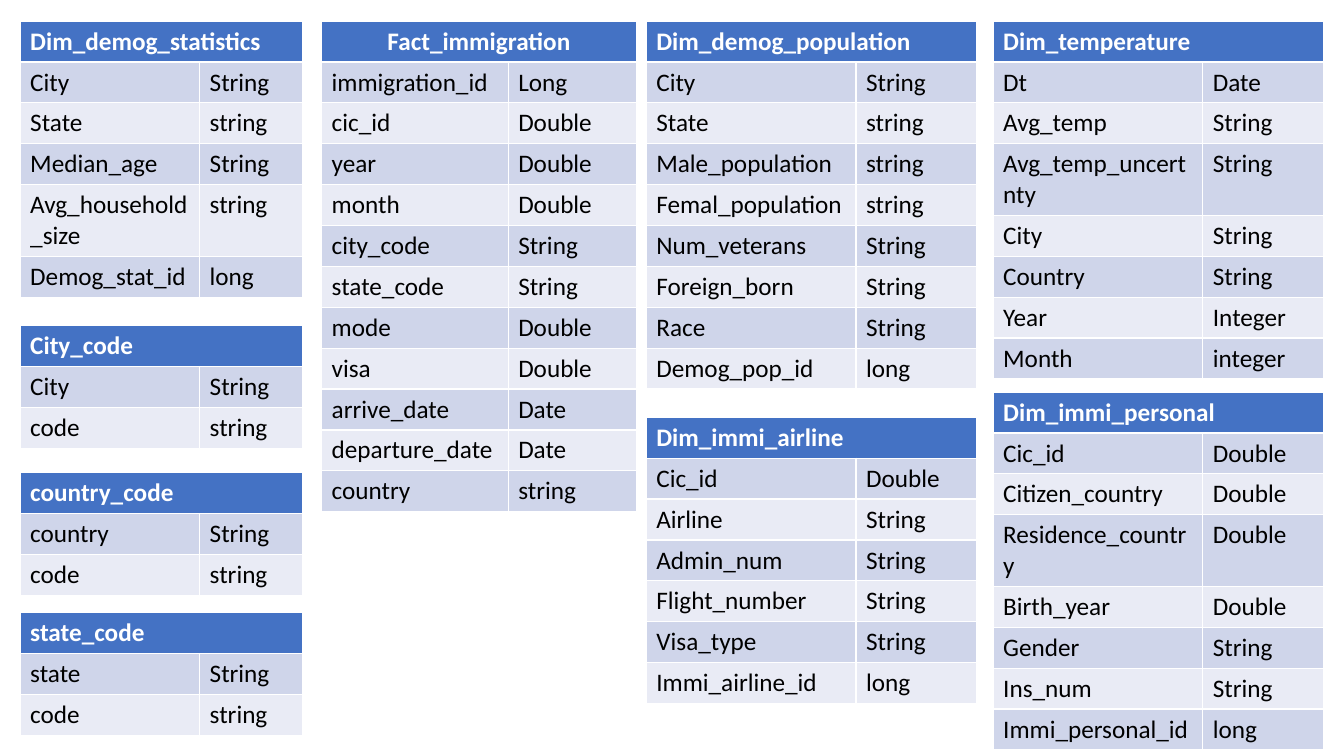
from pptx import Presentation
from pptx.dml import color
from pptx.enum import text
from pptx.util import Inches, Pt

HEADER_FILL, BAND_FILLS = "4472C4", ("CFD5EA", "E9EBF5")
HEADER_FORMAT = {"name": "Calibri", "size": Pt(18), "bold": True}
FIELD_FORMAT = {**HEADER_FORMAT, "bold": False}
ROW_HEIGHT = 4.87 / 12
LEFT, CENTER = text.PP_ALIGN.LEFT, text.PP_ALIGN.CENTER

# Each column of the schema: left edge, widths of name and type, header alignment,
# and its entities as (top, entity name, {field: type}).
SCHEMA = [
    (0.2, (1.78, 1.02), LEFT, [
        (0.21, "Dim_demog_statistics", {
            "City": "String", "State": "string", "Median_age": "String",
            "Avg_household_size": "string", "Demog_stat_id": "long"}),
        (3.23, "City_code", {"City": "String", "code": "string"}),
        (4.69, "country_code", {"country": "String", "code": "string"}),
        (6.08, "state_code", {"state": "String", "code": "string"}),
    ]),
    (3.19, (1.85, 1.27), CENTER, [
        (0.21, "Fact_immigration", {
            "immigration_id": "Long", "cic_id": "Double", "year": "Double",
            "month": "Double", "city_code": "String", "state_code": "String",
            "mode": "Double", "visa": "Double", "arrive_date": "Date",
            "departure_date": "Date", "country": "string"}),
    ]),
    (6.41, (2.08, 1.2), LEFT, [
        (0.21, "Dim_demog_population", {
            "City": "String", "State": "string", "Male_population": "string",
            "Femal_population": "string", "Num_veterans": "String",
            "Foreign_born": "String", "Race": "String", "Demog_pop_id": "long"}),
        (4.14, "Dim_immi_airline", {
            "Cic_id": "Double", "Airline": "String", "Admin_num": "String",
            "Flight_number": "String", "Visa_type": "String",
            "Immi_airline_id": "long"}),
    ]),
    (9.85, (2.08, 1.2), LEFT, [
        (0.21, "Dim_temperature", {
            "Dt": "Date", "Avg_temp": "String", "Avg_temp_uncertnty": "String",
            "City": "String", "Country": "String", "Year": "Integer",
            "Month": "integer"}),
        (3.89, "Dim_immi_personal", {
            "Cic_id": "Double", "Citizen_country": "Double",
            "Residence_country": "Double", "Birth_year": "Double",
            "Gender": "String", "Ins_num": "String", "Immi_personal_id": "long"}),
    ]),
]


def rgb(hex_code):
    """Turn a hex string into a colour."""
    return color.RGBColor.from_string(hex_code)


def fill_cell(cell, wording, fill, ink, font_format, align=LEFT):
    """Write one cell and set its fill and font."""
    cell.fill.solid()
    cell.fill.fore_color.rgb = rgb(fill)
    paragraph = cell.text_frame.paragraphs[0]
    paragraph.alignment = align
    run = paragraph.add_run()
    run.text = wording
    run.font.color.rgb = rgb(ink)
    for attribute, value in font_format.items():
        setattr(run.font, attribute, value)


def add_entity(slide, left, top, widths, align, entity_name, fields):
    """Draw one entity: a merged header above banded rows of field and type."""
    row_count = len(fields) + 1
    entity = slide.shapes.add_table(
        row_count, 2, Inches(left), Inches(top),
        Inches(sum(widths)), Inches(row_count * ROW_HEIGHT)).table
    for column, width in zip(entity.columns, widths):
        column.width = Inches(width)
    for row in entity.rows:
        row.height = Inches(ROW_HEIGHT)

    header = entity.cell(0, 0)
    header.merge(entity.cell(0, 1))
    fill_cell(header, entity_name, HEADER_FILL, "FFFFFF", HEADER_FORMAT, align)
    for index, field in enumerate(fields.items()):
        for position, wording in enumerate(field):
            fill_cell(entity.cell(index + 1, position), wording,
                      BAND_FILLS[index % 2], "000000", FIELD_FORMAT)


def add_schema_column(slide, left, widths, align, entities):
    """Draw the entities that share a left edge and column widths."""
    for top, entity_name, fields in entities:
        add_entity(slide, left, top, widths, align, entity_name, fields)


def main():
    """Build the data model slide and save it."""
    deck = Presentation()
    deck.slide_width, deck.slide_height = Inches(13.33), Inches(7.5)
    slide = deck.slides.add_slide(deck.slide_layouts[6])
    for schema_column in SCHEMA:
        add_schema_column(slide, *schema_column)
    deck.save("out.pptx")


main()
